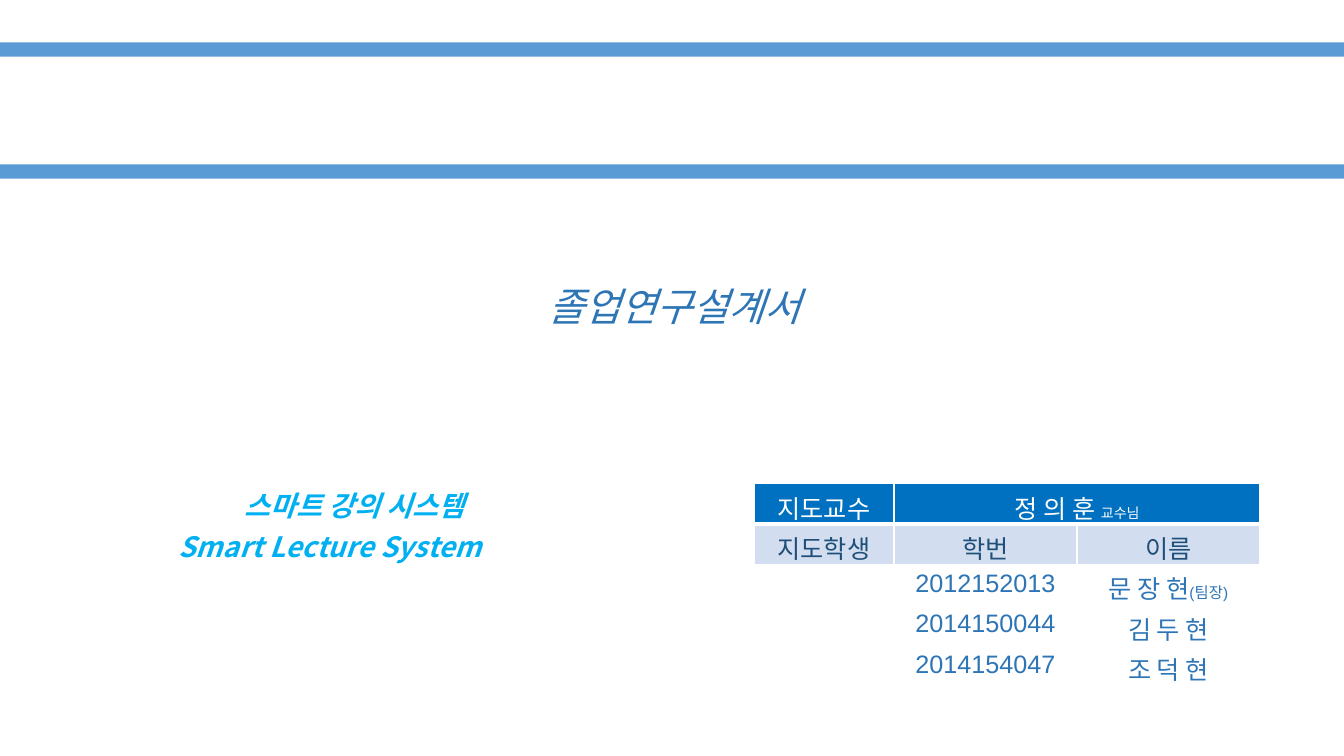
from dataclasses import dataclass

from lxml.etree import SubElement
from pptx import Presentation
from pptx.dml.color import RGBColor as Rgb
from pptx.enum.shapes import MSO_SHAPE as Shape
from pptx.enum.text import MSO_ANCHOR as Anchor, MSO_AUTO_SIZE as AutoSize, PP_ALIGN as Align
from pptx.oxml.ns import qn
from pptx.util import Cm, Pt


@dataclass(frozen=True)
class Theme:
    korean: str = "Noto Sans CJK KR"
    latin: str = "Arial"
    white: str = "FFFFFF"
    bar: str = "5B9BD5"
    blue: str = "2E75B6"
    sky: str = "00B0F0"
    header: str = "0070C0"
    band: str = "D2DEEF"
    navy: str = "1F4E79"
    heading: int = 28
    topic: int = 20
    body: int = 18
    leader: int = 11
    honorific: int = 10


THEME = Theme()
HEADER, BAND, MEMBER = (
    (THEME.header, THEME.white, THEME.korean),
    (THEME.band, THEME.navy, THEME.latin),
    (None, THEME.blue, THEME.latin),
)
TEAM = [
    (HEADER, ["지도교수", ("정 의 훈 ", "교수님", THEME.honorific), ""]),
    (BAND, ["지도학생", "학번", "이름"]),
    (MEMBER, ["", "2012152013", ("문 장 현", "(팀장)", THEME.leader)]),
    (MEMBER, ["", "2014150044", "김 두 현"]),
    (MEMBER, ["", "2014154047", "조 덕 현"]),
]


def add_run(paragraph, text, size, color, face, **styles):
    run = paragraph.add_run()
    run.text = text
    formats = {"name": face, "size": Pt(size), "bold": False, **styles}
    for attribute, value in formats.items():
        setattr(run.font, attribute, value)
    run.font.color.rgb = Rgb.from_string(color)
    SubElement(run.font._element, qn("a:ea"), typeface=THEME.korean)


def place(shape, box):
    for side, length in zip(("left", "top", "width", "height"), box):
        setattr(shape, side, Cm(length))


def write_line(shape, text, size, color, wrap=False, bold=False):
    frame = shape.text_frame
    formats = {"word_wrap": wrap, "auto_size": AutoSize.SHAPE_TO_FIT_TEXT,
               "vertical_anchor": Anchor.TOP}
    for attribute, value in formats.items():
        setattr(frame, attribute, value)
    line = frame.paragraphs[0]
    line.alignment = Align.LEFT
    line.line_spacing = 1.0
    line.space_before = Pt(0)
    add_run(line, text, size, color, THEME.korean, bold=bold, italic=True)


def add_bars(slide, left, top, width, height):
    thickness = 0.36
    for bar_top in (top, top + height - thickness):
        bar = slide.shapes.add_shape(
            Shape.RECTANGLE, Cm(left), Cm(bar_top), Cm(width), Cm(thickness))
        bar.shadow.inherit = False
        bar.fill.solid()
        bar.fill.fore_color.rgb = Rgb.from_string(THEME.bar)
        bar.line.fill.background()


def add_heading(slide, *box):
    heading = slide.shapes.title
    place(heading, box)
    write_line(heading, "졸업연구설계서", THEME.heading, THEME.blue)


def add_topic(slide, left, top, width, height):
    line_height = 1.12
    lines = [
        ("스마트 강의 시스템", left + 1.68, top, 6.58, False),
        ("Smart Lecture System", left, top + height - line_height, width, True),
    ]
    for text, line_left, line_top, line_width, wrap in lines:
        topic = slide.shapes.add_textbox(
            Cm(line_left), Cm(line_top), Cm(line_width), Cm(line_height))
        write_line(topic, text, THEME.topic, THEME.sky, wrap, bold=True)


def set_borders(cell, row):
    properties = cell._tc.get_or_add_tcPr()
    widths = {"lnL": 1, "lnR": 1, "lnT": 3 if row == 1 else 1, "lnB": 3 if row == 0 else 1}
    for side, width in widths.items():
        border = SubElement(properties, qn(f"a:{side}"), w=str(Pt(width)))
        paint = SubElement(border, qn("a:solidFill"))
        SubElement(paint, qn("a:srgbClr"), val=THEME.white)


def fill_cell(cell, content, fill, color, face):
    if fill:
        cell.fill.solid()
        cell.fill.fore_color.rgb = Rgb.from_string(fill)
    else:
        cell.fill.background()
    if not content:
        return
    name, *suffix = content if isinstance(content, tuple) else (content,)
    line = cell.text_frame.paragraphs[0]
    line.alignment = Align.CENTER
    add_run(line, name, THEME.body, color, face)
    if suffix:
        text, size = suffix
        add_run(line, text, size, color, face)


def add_team(slide, left, top, width, height):
    label_width = 3.53
    team = slide.shapes.add_table(
        len(TEAM), 3, Cm(left), Cm(top), Cm(width), Cm(height)).table
    member_width = (width - label_width) / 2
    for column, column_width in zip(team.columns, (label_width, member_width, member_width)):
        column.width = Cm(column_width)
    team.cell(0, 1).merge(team.cell(0, 2))
    for row, (style, contents) in enumerate(TEAM):
        for column, content in enumerate(contents):
            cell = team.cell(row, column)
            set_borders(cell, row)
            fill_cell(cell, content, *style)


def main():
    deck = Presentation()
    deck.slide_width, deck.slide_height = Cm(33.87), Cm(19.05)
    cover = deck.slides.add_slide(deck.slide_layouts[5])
    add_bars(cover, 0, 1.07, 33.87, 3.43)
    add_heading(cover, 13.56, 6.99, 7.49, 1.45)
    add_topic(cover, 4.24, 12.19, 10.49, 2.16)
    add_team(cover, 19, 12.19, 12.75, 5.08)
    deck.save("out.pptx")


if __name__ == "__main__":
    main()
